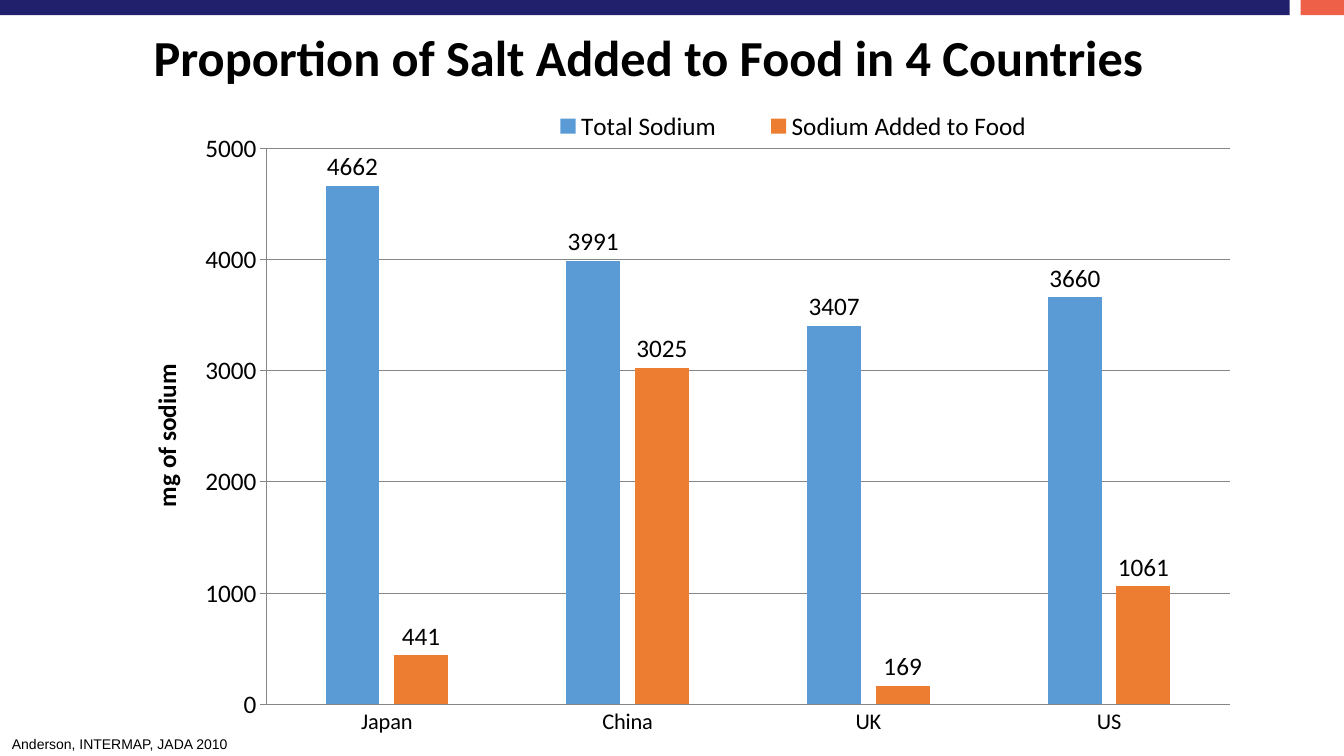
"""Build a slide with a column chart of sodium intake in four countries."""
from lxml import etree
from pptx import Presentation
from pptx.chart.data import CategoryChartData
from pptx.dml.color import RGBColor
from pptx.enum.chart import XL_CHART_TYPE as ChartType
from pptx.enum.chart import XL_LABEL_POSITION as LabelPosition
from pptx.enum.chart import XL_LEGEND_POSITION as LegendPosition
from pptx.enum.chart import XL_TICK_MARK as TickMark
from pptx.enum.shapes import MSO_SHAPE as ShapeType
from pptx.enum.text import MSO_ANCHOR as Anchor
from pptx.enum.text import MSO_AUTO_SIZE as AutoSize
from pptx.enum.text import PP_ALIGN as Align
from pptx.oxml.ns import qn
from pptx.util import Inches, Pt


def add_text(text, box, size, font, bold=False, align=Align.LEFT,
             anchor=Anchor.TOP, margins=(0.1, 0.05), auto_size=AutoSize.NONE):
    frame = slide.shapes.add_textbox(*map(Inches, box)).text_frame
    frame.word_wrap = True
    frame.auto_size = auto_size
    frame.vertical_anchor = anchor
    frame.margin_left = frame.margin_right = Inches(margins[0])
    frame.margin_top = frame.margin_bottom = Inches(margins[1])
    paragraph = frame.paragraphs[0]
    paragraph.alignment = align
    run = paragraph.add_run()
    run.text = text
    run.font.size, run.font.name, run.font.bold = Pt(size), font, bold
    run.font.color.rgb = RGBColor.from_string("000000")


def set_layout(element, index, **settings):
    for old_layout in element.findall(qn("c:layout")):
        element.remove(old_layout)
    layout = etree.Element(qn("c:layout"))
    manual = etree.SubElement(layout, qn("c:manualLayout"))
    for name, value in settings.items():
        etree.SubElement(manual, qn(f"c:{name}")).set("val", str(value))
    element.insert(index, layout)


presentation = Presentation()
presentation.slide_width, presentation.slide_height = Inches(13.33), Inches(7.5)
slide = presentation.slides.add_slide(presentation.slide_layouts[6])

for left, width, color in [(12.9, 0.43, "EE6048"), (0, 12.79, "20206C")]:
    band = slide.shapes.add_shape(
        ShapeType.RECTANGLE, Inches(left), 0, Inches(width), Inches(0.15))
    band.shadow.inherit = False
    band.fill.solid()
    band.fill.fore_color.rgb = RGBColor.from_string(color)
    band.line.fill.background()

sodium = CategoryChartData()
sodium.categories = ["Japan", "China", "UK", "US"]
sodium.add_series("Total Sodium", [4662, 3991, 3407, 3660])
sodium.add_series("Sodium Added to Food", [441, 3025, 169, 1061])
chart = slide.shapes.add_chart(
    ChartType.COLUMN_CLUSTERED, Inches(1.1), Inches(0.68),
    Inches(11.1), Inches(6.72), sodium).chart
chart.has_title = False
chart.font.size, chart.font.name = Pt(18), "Calibri"
chart.font.color.rgb = RGBColor.from_string("000000")

plot = chart.plots[0]
plot.gap_width, plot.overlap = 219, -27
plot.vary_by_categories = False
for series, color in zip(plot.series, ["5B9BD5", "ED7D31"]):
    series.format.fill.solid()
    series.format.fill.fore_color.rgb = RGBColor.from_string(color)
    series.data_labels.show_value = True
    series.data_labels.position = LabelPosition.OUTSIDE_END

category_axis, value_axis = chart.category_axis, chart.value_axis
category_axis.major_tick_mark = TickMark.NONE
category_axis.tick_labels.font.size = Pt(16)
value_axis.minimum_scale, value_axis.maximum_scale = 0, 5000
value_axis.major_unit = 1000
value_axis.major_tick_mark = TickMark.OUTSIDE
value_axis.has_major_gridlines = True
for line in (category_axis.format.line, value_axis.format.line,
             value_axis.major_gridlines.format.line):
    line.width = Pt(0.75)
    line.color.rgb = RGBColor.from_string("868686")

axis_title = value_axis.axis_title
axis_title.text_frame.text = "mg of sodium"
title_font = axis_title.text_frame.paragraphs[0].runs[0].font
title_font.size, title_font.bold = Pt(18), True

chart.has_legend = True
chart.legend.position = LegendPosition.TOP
chart.legend.include_in_layout = False

plot_area = chart.plots[0]._element.getparent()
set_layout(plot_area, 0, layoutTarget="inner", xMode="edge", yMode="edge",
           x=0.139, y=0.118, w=0.861, h=0.821)
set_layout(axis_title._element, 1, xMode="edge", yMode="edge", x=0.03, y=0.43)
set_layout(chart.legend._element, 1, xMode="edge", yMode="edge",
           x=0.36, y=0.05, w=0.5, h=0.07)

add_text("Anderson, INTERMAP, JADA 2010", (0.02, 7.25, 7.71, 0.27), 10, "Arial",
         auto_size=AutoSize.SHAPE_TO_FIT_TEXT)
add_text("Proportion of Salt Added to Food in 4 Countries", (0.16, 0.2, 12.55, 0.72),
         36, "Calibri", bold=True, align=Align.CENTER, anchor=Anchor.MIDDLE,
         margins=(0.12, 0.06))

presentation.save("out.pptx")
